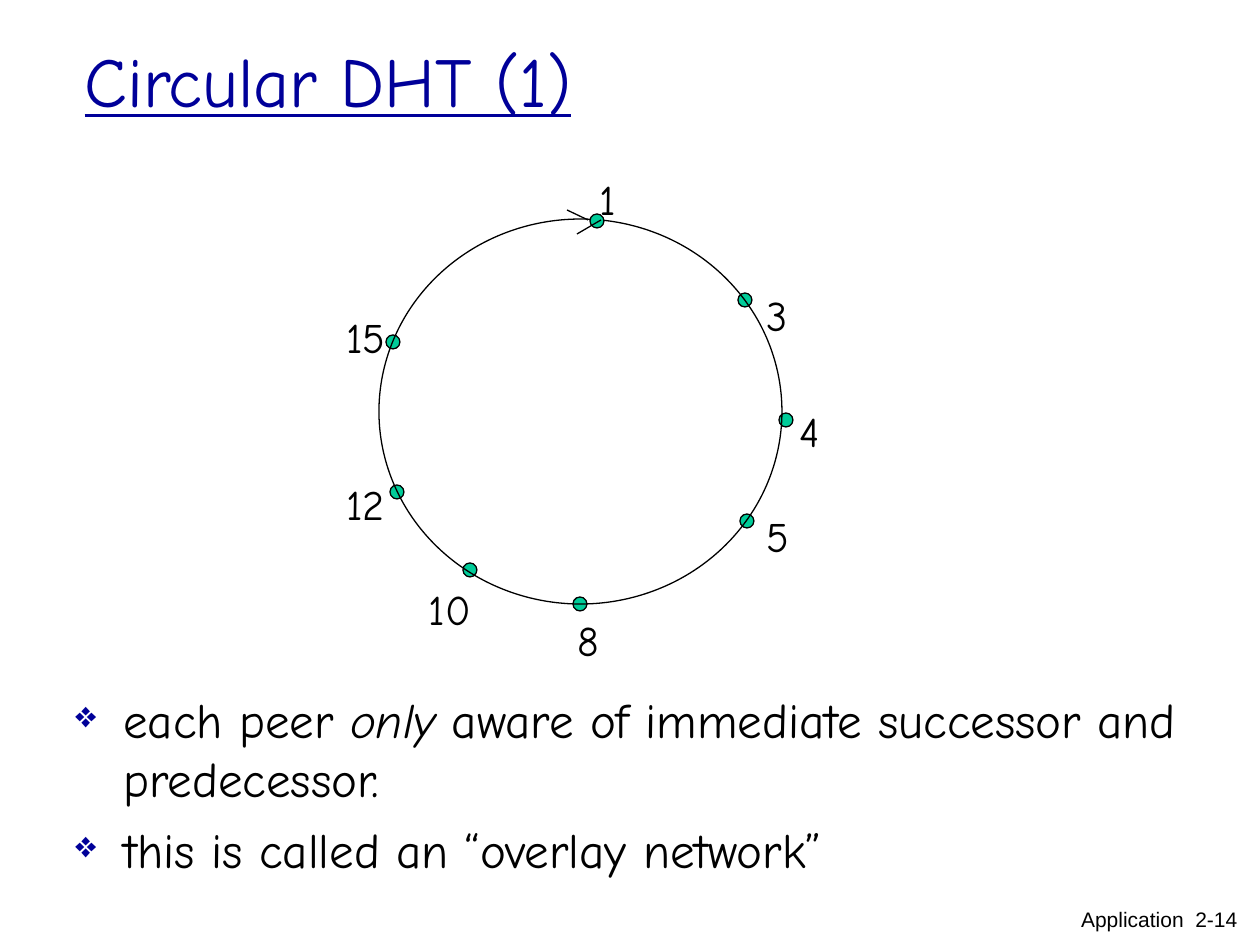
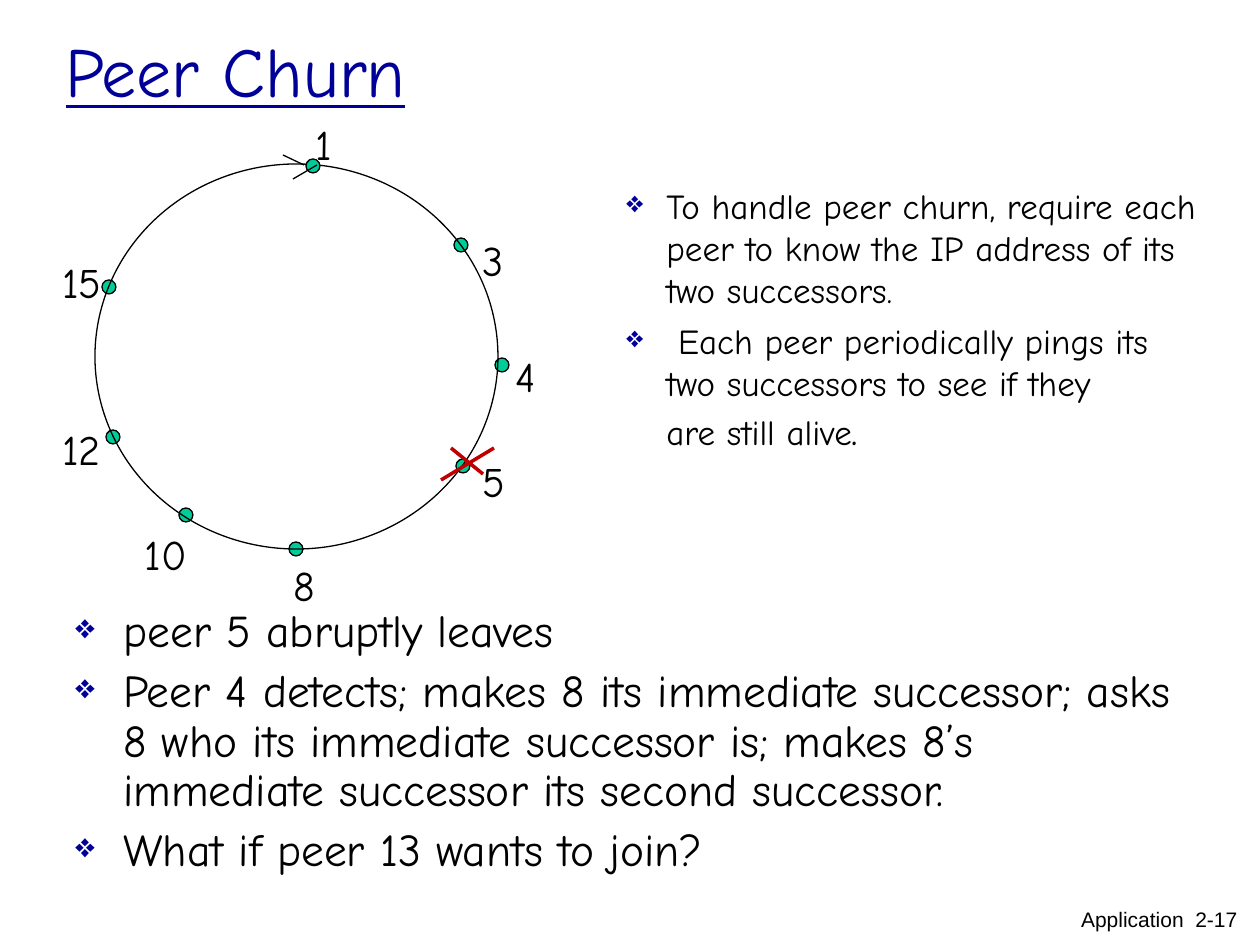
"""Build two slides on a circular DHT: the peer ring and peer churn."""
from lxml import etree
from pptx import Presentation, util as u
from pptx.dml.color import RGBColor
from pptx.enum import shapes, text
from pptx.oxml import ns

NAVY = RGBColor(0x00, 0x00, 0x99)
GREEN = RGBColor(0x00, 0xCC, 0x99)
RED = RGBColor(0xC0, 0x00, 0x00)
BLACK = RGBColor(0, 0, 0)
HAND, PLAIN = "Comic Neue", "Arial"
PX = u.Inches(1) / 126
HAIR, THICK = 0.74, 2
FOOTER_AT = (1050, 900, 200, 39)
RING_SIZE = (403, 385)
DOT, LABEL_HEIGHT = 14, 63

# Peer, dot centre, label left and top, label width; all from the ring's corner
PEERS = [
    ("8", (201, 385), (186, 389), 47),
    ("15", (14, 123), (-45, 86), 64),
    ("12", (18, 273), (-45, 253), 63),
    ("3", (366, 81), (375, 64), 47),
    ("4", (407, 201), (408, 180), 45),
    ("5", (368, 302), (375, 285), 48),
    ("10", (91, 351), (37, 358), 67),
    ("1", (218, 2), (208, -52), 42),
]
ARROW = [((188, -9), (209, 1)), ((222, 1), (198, 15))]
CROSS = [((356, 284), (388, 310)), ((399, 284), (346, 316))]

LARGE = dict(size=28, before=7, spacing=None, indent=48, bullet=75)
MEDIUM = dict(size=26, before=6.5, spacing=0.9, indent=48, bullet=75)
SMALL = dict(size=20, before=5.5, spacing=None, indent=40, bullet=85)

SLIDES = [
    dict(title="Circular DHT (1)", title_at=(72, 0, 1071, 158), ring_at=(379, 219),
         number="2-14", cross=[], lists=[
             ((63, 683, 1134, 210), LARGE, [
                 [("each peer ", {}), ("only", {"italic": True}),
                  (" aware of immediate successor and predecessor.", {})],
                 [("this is called an “overlay network”", {})],
             ]),
         ]),
    dict(title="Peer Churn", title_at=(53, 0, 1134, 140), ring_at=(95, 164),
         number="2-17", cross=CROSS, lists=[
             ((63, 602, 1134, 294), MEDIUM, [
                 [("peer 5 abruptly leaves", {})],
                 [("Peer 4 detects; makes 8 its immediate successor; asks 8 who its "
                   "immediate successor is; makes 8’s immediate successor its second "
                   "successor.", {})],
                 [("What if peer 13 wants to join?", {})],
             ]),
             ((614, 178, 610, 345), SMALL, [
                 [("To handle peer churn, require each peer to know the IP address "
                   "of its two successors.", {})],
                 [(" Each peer periodically pings its\ntwo successors to see if they\n"
                   "are still alive", {}), (".", {"size": u.Pt(24)})],
             ]),
         ]),
]


def emu(lengths):
    return [round(length * PX) for length in lengths]


def shift(origin, point):
    return origin[0] + point[0], origin[1] + point[1]


def assign(target, values):
    for name, value in values.items():
        setattr(target, name, value)


def write(paragraph, words, size, face=HAND, color=BLACK, **extra):
    for index, line in enumerate(words.split("\n")):
        if index:
            paragraph.add_line_break()
        run = paragraph.add_run()
        run.text = line
        run.font.color.rgb = color
        assign(run.font, {"size": u.Pt(size), "name": face, **extra})


def add_text(parent, at, wrap=True):
    frame = parent.add_textbox(*emu(at)).text_frame
    assign(frame, {"word_wrap": wrap, "auto_size": text.MSO_AUTO_SIZE.NONE})
    return frame


def add_oval(parent, at, fill=None):
    oval = parent.add_shape(shapes.MSO_SHAPE.OVAL, *emu(at))
    oval.shadow.inherit = False
    if fill is None:
        oval.fill.background()
    else:
        oval.fill.solid()
        oval.fill.fore_color.rgb = fill
    oval.line.color.rgb = BLACK
    oval.line.width = u.Pt(HAIR)


def add_strokes(parent, origin, strokes, color, width):
    for start, end in strokes:
        ends = emu(shift(origin, start) + shift(origin, end))
        stroke = parent.add_connector(shapes.MSO_CONNECTOR.STRAIGHT, *ends)
        stroke.line.color.rgb = color
        stroke.line.width = u.Pt(width)
        etree.SubElement(stroke._element.spPr, ns.qn("a:effectLst"))


def add_ring(slide, origin):
    ring = slide.shapes.add_group_shape().shapes

    def add_dot(centre):
        corner = shift(origin, (centre[0] - DOT / 2, centre[1] - DOT / 2))
        add_oval(ring, (*corner, DOT, DOT), GREEN)

    for _, centre, _, _ in PEERS[:-1]:
        add_dot(centre)
    add_oval(ring, (*origin, *RING_SIZE))
    for peer, _, corner, width in PEERS:
        label = add_text(ring, (*shift(origin, corner), width, LABEL_HEIGHT), wrap=False)
        label.paragraphs[0].space_before = u.Pt(6)
        write(label.paragraphs[0], peer, 24)
    add_dot(PEERS[-1][1])
    add_strokes(slide.shapes, origin, ARROW, BLACK, HAIR)


def add_bullet(paragraph, indent, percent):
    properties = paragraph._p.get_or_add_pPr()
    margin = round(indent * PX)
    properties.set("marL", str(margin))
    properties.set("indent", str(-margin))
    color = etree.SubElement(properties, ns.qn("a:buClr"))
    etree.SubElement(color, ns.qn("a:srgbClr"), val=str(NAVY))
    etree.SubElement(properties, ns.qn("a:buSzPct"), val=str(percent * 1000))
    etree.SubElement(properties, ns.qn("a:buChar"), char="❖")


def add_list(slide, at, style, items):
    frame = add_text(slide.shapes, at)
    for index, item in enumerate(items):
        paragraph = frame.add_paragraph() if index else frame.paragraphs[0]
        assign(paragraph, {"space_before": u.Pt(style["before"]),
                           "line_spacing": style["spacing"]})
        add_bullet(paragraph, style["indent"], style["bullet"])
        for words, extra in item:
            write(paragraph, words, style["size"] if "size" not in extra
                  else extra["size"].pt, **{k: v for k, v in extra.items() if k != "size"})


def add_title(slide, words, at):
    title = slide.shapes.title
    assign(title, dict(zip(("left", "top", "width", "height"), emu(at))))
    assign(title.text_frame, {"word_wrap": True, "auto_size": text.MSO_AUTO_SIZE.NONE,
                              "vertical_anchor": text.MSO_ANCHOR.MIDDLE})
    heading = title.text_frame.paragraphs[0]
    heading.alignment = text.PP_ALIGN.LEFT
    write(heading, words, 40, color=NAVY, underline=True)


def add_footer(slide, number):
    footer = add_text(slide.shapes, FOOTER_AT).paragraphs[0]
    footer.alignment = text.PP_ALIGN.RIGHT
    write(footer, f"Application  {number}", 12, PLAIN)


deck = Presentation()
deck.slide_width, deck.slide_height = u.Inches(10), u.Inches(7.5)
for content in SLIDES:
    slide = deck.slides.add_slide(deck.slide_layouts[5])
    add_title(slide, content["title"], content["title_at"])
    add_ring(slide, content["ring_at"])
    add_strokes(slide.shapes, content["ring_at"], content["cross"], RED, THICK)
    for at, style, items in content["lists"]:
        add_list(slide, at, style, items)
    add_footer(slide, content["number"])
deck.save("out.pptx")
